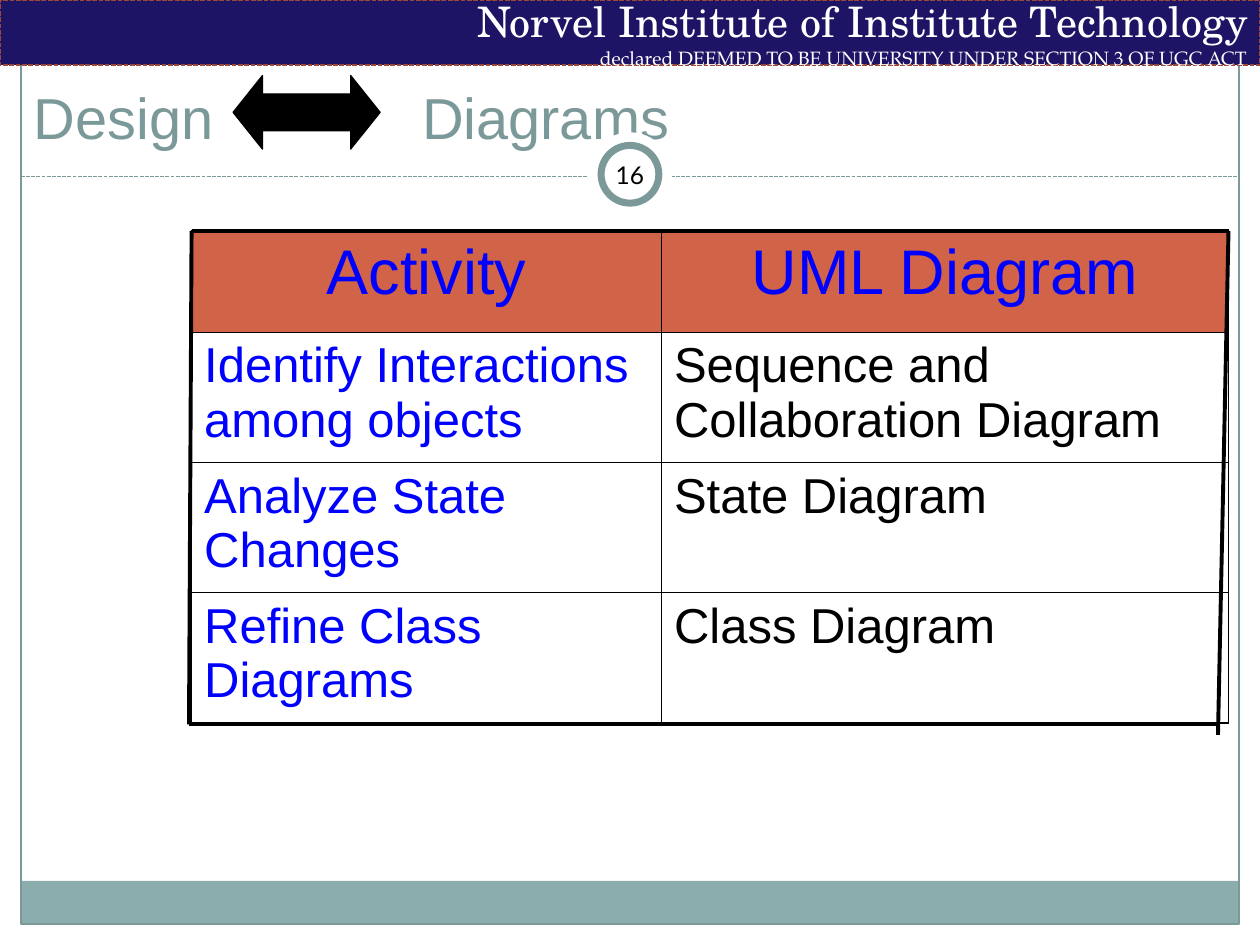
from dataclasses import dataclass

from lxml.etree import SubElement
from pptx import Presentation
from pptx.dml.color import RGBColor
from pptx.enum.dml import MSO_LINE_DASH_STYLE as Dash
from pptx.enum.shapes import MSO_CONNECTOR as Connector
from pptx.enum.shapes import MSO_SHAPE as Shape
from pptx.enum.text import MSO_ANCHOR as Anchor
from pptx.enum.text import MSO_AUTO_SIZE as AutoSize
from pptx.enum.text import PP_ALIGN as Align
from pptx.oxml import parse_xml
from pptx.oxml.ns import nsdecls, qn
from pptx.util import Inches, Pt

COLUMNS, ROWS, UNIT = 120, 90, 1 / 12


@dataclass(frozen=True)
class Theme:
    white: str = "FFFFFF"
    black: str = "000000"
    sage: str = "7C999A"
    band: str = "8CADAE"
    navy: str = "1E1466"
    rust: str = "9B4936"
    head: str = "D16349"
    blue: str = "0000FF"
    sans: str = "Arial"
    school: str = "TeX Gyre Schola"
    book: str = "TeX Gyre Pagella"
    number: str = "Lato"
    title_size: int = 33
    head_size: int = 36
    cell_size: int = 28
    name_size: int = 24
    note_size: int = 11
    number_size: int = 14
    thin: float = 0.75
    rule: float = 1
    heavy: float = 2.25
    ring: float = 4


@dataclass(frozen=True)
class Box:
    left: float
    top: float
    width: float
    height: float

    @property
    def right(self):
        return self.left + self.width

    @property
    def bottom(self):
        return self.top + self.height

    def emu(self):
        return [grid(n) for n in (self.left, self.top, self.width, self.height)]

    def inset(self, gap):
        return Box(self.left + gap, self.top + gap,
                   self.width - 2 * gap, self.height - 2 * gap)


THEME = Theme()


def grid(cells):
    return Inches(cells * UNIT)


def rgb(value):
    return RGBColor.from_string(value)


def write(frame, text, *, size, color, font=THEME.sans, align=Align.LEFT,
          anchor=Anchor.TOP, more=False):
    frame.word_wrap = True
    frame.vertical_anchor = anchor
    paragraph = frame.add_paragraph() if more else frame.paragraphs[0]
    paragraph.alignment = align
    run = paragraph.add_run()
    run.text = text
    run.font.size = Pt(size)
    run.font.name = font
    run.font.color.rgb = rgb(color)
    return paragraph


def draw_line(line, color, width, dash=None):
    line.color.rgb = rgb(color)
    line.width = Pt(width)
    if dash:
        line.dash_style = dash


def add_block(slide, kind, box, fill=None, line=None, width=THEME.thin, dash=None):
    block = slide.shapes.add_shape(kind, *box.emu())
    block.shadow.inherit = False
    if fill:
        block.fill.solid()
        block.fill.fore_color.rgb = rgb(fill)
    else:
        block.fill.background()
    if line:
        draw_line(block.line, line, width, dash)
    else:
        block.line.fill.background()
    return block


def add_rule(slide, start, end, color, width, dash=None):
    rule = slide.shapes.add_connector(
        Connector.STRAIGHT, *(grid(n) for n in (*start, *end)))
    draw_line(rule.line, color, width, dash)
    SubElement(rule._element.spPr, qn("a:effectLst"))


def add_page_frame(slide, box):
    footer = Box(box.left, box.bottom - 4.1, box.width, 4.1)
    add_block(slide, Shape.RECTANGLE, footer, THEME.band)
    add_block(slide, Shape.RECTANGLE, box, line=THEME.sage)
    divider = box.top + 14.8
    add_rule(slide, (box.left, divider), (box.right, divider),
             THEME.sage, THEME.thin, Dash.SQUARE_DOT)


def add_banner(slide, box):
    banner = add_block(slide, Shape.RECTANGLE, box, THEME.navy, THEME.rust,
                       0.9, Dash.SQUARE_DOT).text_frame
    style = dict(color=THEME.white, align=Align.RIGHT, anchor=Anchor.MIDDLE)
    write(banner, "Norvel Institute of Institute Technology",
          size=THEME.name_size, font=THEME.school, **style)
    write(banner, "declared DEEMED TO BE UNIVERSITY UNDER SECTION 3 OF UGC ACT",
          size=THEME.note_size, font=THEME.book, more=True, **style)


def add_page_number(slide, box):
    add_block(slide, Shape.OVAL, box, THEME.white)
    add_block(slide, Shape.OVAL, box.inset(1.25), THEME.white, THEME.sage, THEME.ring)
    number = slide.shapes.add_textbox(*box.inset(1).emu()).text_frame
    number.margin_left = number.margin_right = Inches(0.05)
    write(number, "16", size=THEME.number_size, color=THEME.black,
          font=THEME.number, align=Align.CENTER, anchor=Anchor.MIDDLE)


def add_heading(slide, box):
    title = slide.shapes.title
    title.left, title.top, title.width, title.height = box.emu()
    title.text_frame.auto_size = AutoSize.NONE
    heading = write(title.text_frame, "Design\tDiagrams", size=THEME.title_size,
                    color=THEME.sage, anchor=Anchor.BOTTOM)
    stops = SubElement(heading._p.get_or_add_pPr(), qn("a:tabLst"))
    SubElement(stops, qn("a:tab"), pos=str(grid(37)), algn="l")
    arrow = add_block(slide, Shape.LEFT_RIGHT_ARROW,
                      Box(box.left + 20.2, box.top + 5.2, 14, 7),
                      THEME.black, THEME.black)
    arrow.adjustments[0], arrow.adjustments[1] = 0.5, 0.4


def border_cell(cell):
    properties = cell._tc.get_or_add_tcPr()
    for position, side in enumerate(("lnL", "lnR", "lnT", "lnB")):
        properties.insert(position, parse_xml(
            f'<a:{side} {nsdecls("a")} w="{Pt(THEME.rule)}"><a:solidFill>'
            f'<a:srgbClr val="{THEME.black}"/></a:solidFill></a:{side}>'))


def add_activity_table(slide, box):
    rows = [
        ("Activity", "UML Diagram"),
        ("Identify Interactions among objects", "Sequence and Collaboration Diagram"),
        ("Analyze State Changes", "State Diagram"),
        ("Refine Class Diagrams", "Class Diagram"),
    ]
    head_height, activity_width = 9.65, 44.75
    body_height = (box.height - head_height) / (len(rows) - 1)
    table = slide.shapes.add_table(len(rows), 2, *box.emu()).table
    table.first_row = table.horz_banding = False
    table.columns[0].width = grid(activity_width)
    table.columns[1].width = grid(box.width - activity_width)
    for r, row in enumerate(rows):
        is_head = r == 0
        table.rows[r].height = grid(head_height if is_head else body_height)
        for c, text in enumerate(row):
            cell = table.cell(r, c)
            cell.margin_bottom = 0
            if is_head:
                cell.fill.solid()
                cell.fill.fore_color.rgb = rgb(THEME.head)
            else:
                cell.fill.background()
            border_cell(cell)
            write(cell.text_frame, text,
                  size=THEME.head_size if is_head else THEME.cell_size,
                  color=THEME.blue if is_head or c == 0 else THEME.black,
                  align=Align.CENTER if is_head else Align.LEFT)
    top_left, top_right = (box.left, box.top), (box.right, box.top)
    base = box.bottom + 0.15
    bottom_left, bottom_right = (box.left - 0.25, base), (box.right - 1, base)
    for start, end in ((top_left, top_right), (bottom_left, bottom_right),
                       (top_left, bottom_left), (top_right, (box.right - 1, base + 1))):
        add_rule(slide, start, end, THEME.black, THEME.heavy)


def main():
    deck = Presentation()
    deck.slide_width, deck.slide_height = grid(COLUMNS), grid(ROWS)
    slide = deck.slides.add_slide(deck.slide_layouts[5])
    add_page_frame(slide, Box(2, 2, COLUMNS - 4, ROWS - 4))
    add_banner(slide, Box(0, 0, COLUMNS, 6.2))
    add_page_number(slide, Box(56, 12.6, 8, 8))
    add_heading(slide, Box(2, 2, 115.3, 13))
    add_activity_table(slide, Box(18.25, 22, 98.75, 46.85))
    deck.save("out.pptx")


if __name__ == "__main__":
    main()
